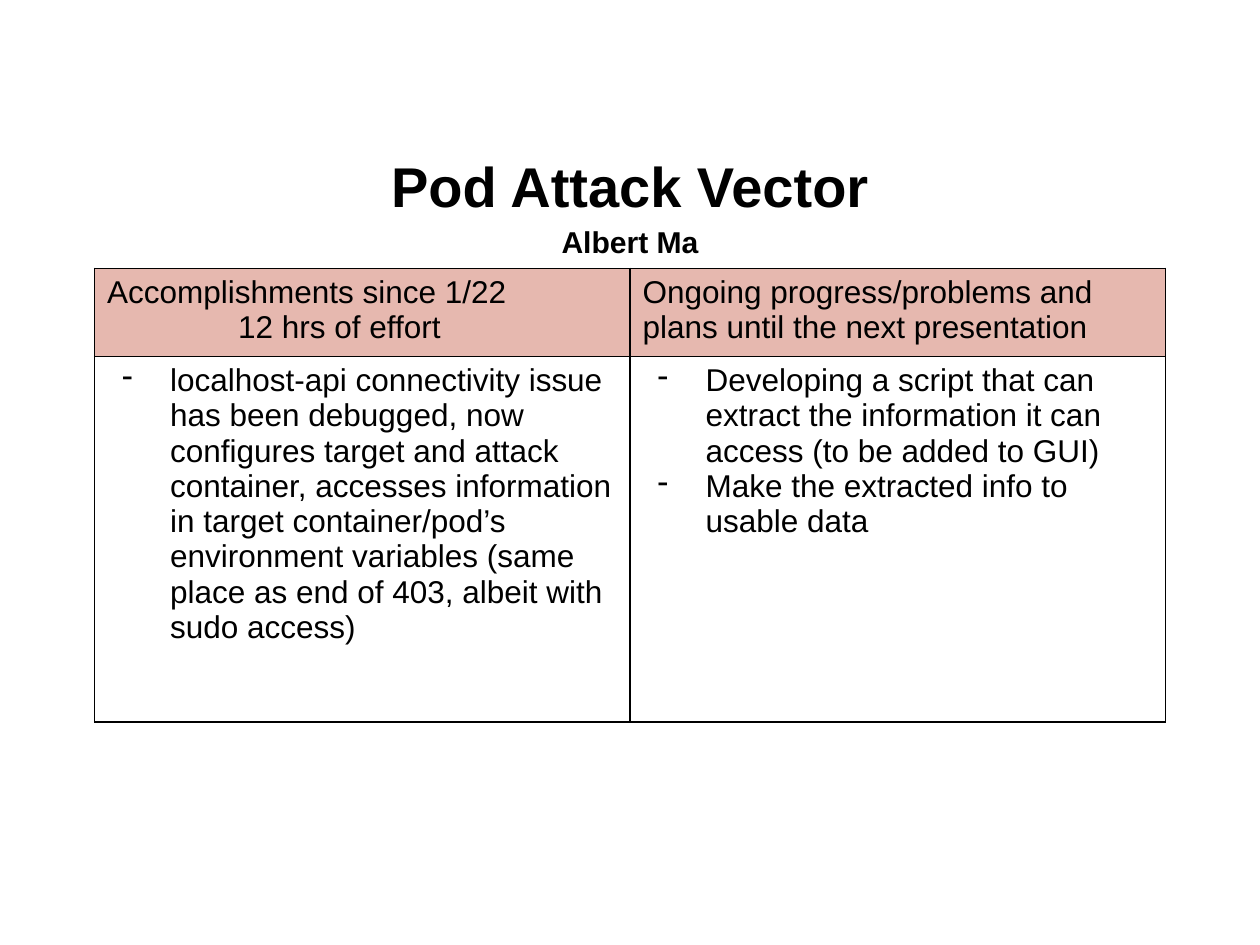
from lxml import etree
from pptx import Presentation
from pptx.dml.color import RGBColor
from pptx.enum.text import MSO_ANCHOR, PP_ALIGN
from pptx.oxml.ns import qn
from pptx.util import Inches, Pt

CENTER = PP_ALIGN.CENTER
MIDDLE = MSO_ANCHOR.MIDDLE
BLACK = RGBColor(0x00, 0x00, 0x00)
PINK = RGBColor(0xE6, 0xB8, 0xAF)
BORDER_TAGS = ("a:lnL", "a:lnR", "a:lnT", "a:lnB")

TITLE_LINES = [("Pod Attack Vector", 32), ("Albert Ma", 17.2)]
HEADERS = [
    [("Accomplishments since 1/22", 0), ("12 hrs of effort", 1.04)],
    [("Ongoing progress/problems and plans until the next presentation", 0)],
]
BODIES = [
    ["localhost-api connectivity issue has been debugged, now configures target "
     "and attack container, accesses information in target container/pod’s "
     "environment variables (same place as end of 403, albeit with sudo access)"],
    ["Developing a script that can extract the information it can access "
     "(to be added to GUI)",
     "Make the extracted info to usable data"],
]


def write_paragraph(text_frame, index, text, size, bold=False):
    paragraph = text_frame.paragraphs[0] if index == 0 else text_frame.add_paragraph()
    run = paragraph.add_run()
    run.text = text
    font_format = {"name": "Arial", "size": Pt(size), "bold": bold}
    for name, value in font_format.items():
        setattr(run.font, name, value)
    run.font.color.rgb = BLACK
    return paragraph


def indent_paragraph(paragraph, left, first_line=0, bullet=None):
    properties = paragraph._p.get_or_add_pPr()
    properties.set("marL", str(Inches(left)))
    properties.set("indent", str(Inches(first_line)))
    if bullet:
        color = etree.SubElement(properties, qn("a:buClr"))
        etree.SubElement(color, qn("a:srgbClr"), val=str(BLACK))
        etree.SubElement(properties, qn("a:buChar"), char=bullet)


def add_borders(cell):
    properties = cell._tc.get_or_add_tcPr()
    for position, tag in enumerate(BORDER_TAGS):
        line = etree.Element(qn(tag), w=str(Pt(1)))
        fill = etree.SubElement(line, qn("a:solidFill"))
        etree.SubElement(fill, qn("a:srgbClr"), val=str(BLACK))
        properties.insert(position, line)


def add_title(slide, left, top, width, height):
    shape = slide.shapes.add_textbox(left, top, width, height)
    text_frame = shape.text_frame
    text_frame.word_wrap = True
    text_frame.vertical_anchor = MIDDLE
    for index, (text, size) in enumerate(TITLE_LINES):
        paragraph = write_paragraph(text_frame, index, text, size, bold=True)
        paragraph.alignment = CENTER
        paragraph.line_spacing = 1.15


def add_progress_table(slide, left, top, width, header_height, body_height):
    shape = slide.shapes.add_table(
        2, len(HEADERS), left, top, width, header_height + body_height
    )
    table = shape.table
    table_format = {"first_row": False, "horz_banding": False}
    for name, value in table_format.items():
        setattr(table, name, value)
    table.rows[0].height = header_height
    table.rows[1].height = body_height

    for column, (header, body) in enumerate(zip(HEADERS, BODIES)):
        header_cell, body_cell = table.cell(0, column), table.cell(1, column)
        header_cell.fill.solid()
        header_cell.fill.fore_color.rgb = PINK
        body_cell.fill.background()
        for index, (text, indent) in enumerate(header):
            paragraph = write_paragraph(header_cell.text_frame, index, text, 18)
            indent_paragraph(paragraph, indent)
        for index, text in enumerate(body):
            paragraph = write_paragraph(body_cell.text_frame, index, text, 18)
            indent_paragraph(paragraph, 0.5, -0.38, "-")
        for cell in (header_cell, body_cell):
            add_borders(cell)


def main():
    presentation = Presentation()
    presentation.slide_width = Inches(10)
    presentation.slide_height = Inches(7.5)
    slide = presentation.slides.add_slide(presentation.slide_layouts[6])
    add_title(slide, Inches(0.5), Inches(1.15), Inches(9), Inches(0.88))
    add_progress_table(
        slide, Inches(0.75), Inches(2.13), Inches(8.5), Inches(0.7), Inches(2.9)
    )
    presentation.save("out.pptx")


if __name__ == "__main__":
    main()
